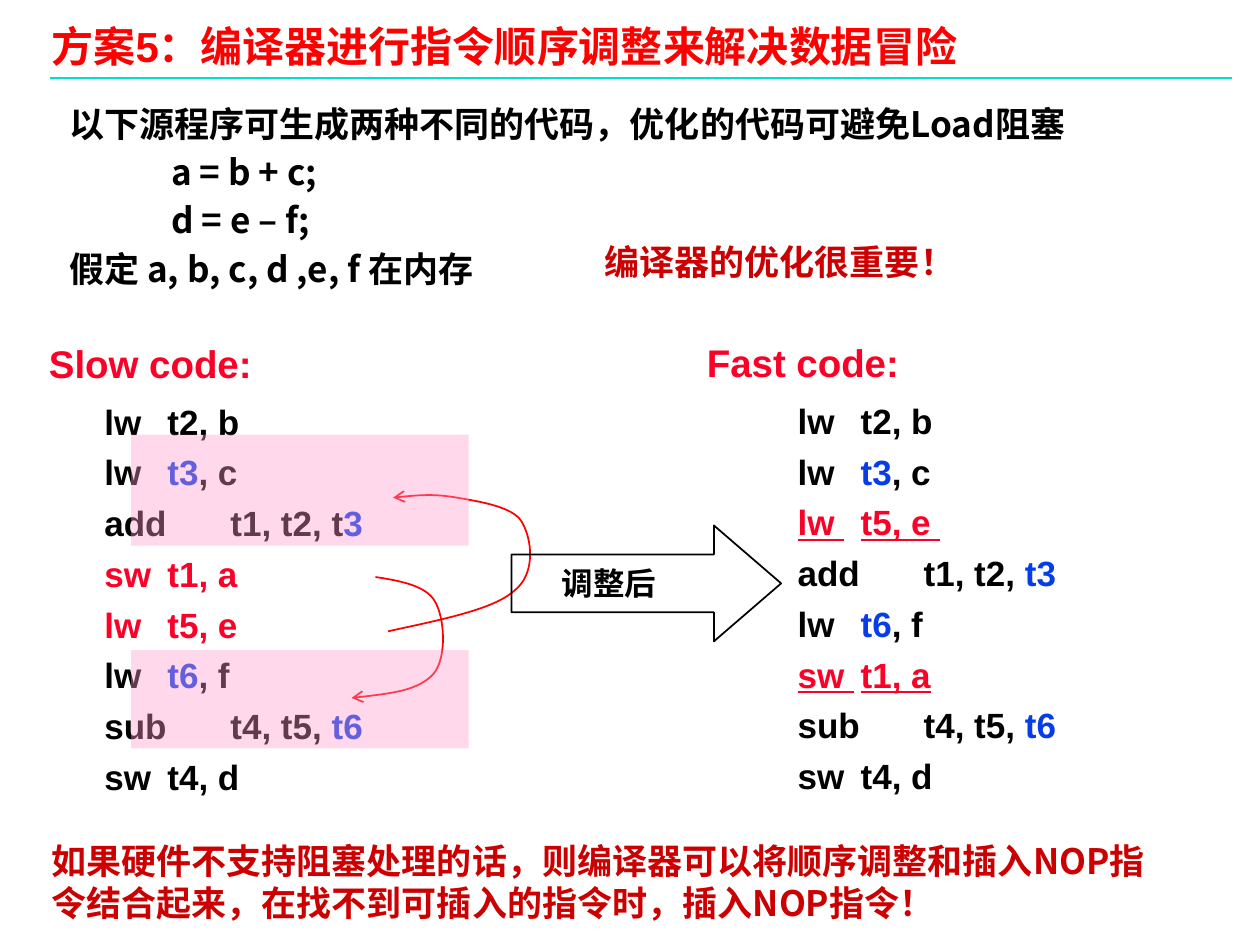
from dataclasses import dataclass

from pptx import Presentation
from pptx.dml.color import RGBColor
from pptx.enum.shapes import MSO_CONNECTOR as CONN, MSO_SHAPE as SHAPE
from pptx.oxml.ns import qn
from pptx.oxml.xmlchemy import OxmlElement
from pptx.util import Pt

PX = 9144  # EMU in one px, 100 px to the inch


@dataclass(frozen=True)
class Theme:
    ink: str = "000000"
    title: str = "FF0000"
    rule: str = "00DFCA"
    accent: str = "FC0128"
    register: str = "063DE8"
    note: str = "CC0000"
    hazard: str = "FF99CC"
    latin: str = "Arial"
    cjk: str = "Noto Sans CJK SC"
    serif: str = "Times New Roman"
    title_size: int = 24
    head_size: int = 22
    body_size: int = 20
    label_size: int = 18


T = Theme()

# Instructions: operation, operands before the register, register, operands after it
SLOW = [("lw", "t2, b", "", ""), ("lw ", "", "t3", ", c"),
        ("add ", "t1, t2, t", "3", ""), ("sw ", "t1, a", "", ""),
        ("lw ", "t5, e", "", ""), ("lw ", "", "t6", ", f"),
        ("sub ", "t4, t5, ", "t6", ""), ("sw", "t4, d", "", "")]
FAST = [("lw ", "t2, b", "", ""), ("lw ", "", "t3", ", c"),
        ("lw ", "t5, e ", "", ""), ("add ", "t1, t2, ", "t3", ""),
        ("lw ", "", "t6", ", f"), ("sw ", "t1, a", "", ""),
        ("sub ", "t4, t5, ", "t6", ""), ("sw", "t4, d", "", "")]


def rgb(value):
    return RGBColor.from_string(value)


def add_text(slide, box, inset=(10, 5)):
    tf = slide.shapes.add_textbox(*(v * PX for v in box)).text_frame
    tf.word_wrap = True
    tf.margin_left = tf.margin_right = inset[0] * PX
    tf.margin_top = tf.margin_bottom = inset[1] * PX
    return tf


def add_line(tf, runs, size, font, color, first=False, before=0, spacing=None,
             margin=0, indent=0):
    """Add a paragraph of (text, colour, underlined) runs."""
    p = tf.paragraphs[0] if first else tf.add_paragraph()
    pPr = p._p.get_or_add_pPr()
    pPr.set("marL", str(margin * PX))
    pPr.set("indent", str(indent * PX))
    if before:
        p.space_before = Pt(before)
    if spacing:
        p.line_spacing = spacing
    p.font.size, p.font.name, p.font.bold = Pt(size), font, True
    p.font.color.rgb = rgb(color)
    for text, run_color, underlined in runs:
        if text:
            r = p.add_run()
            r.text = text
            if run_color != color:
                r.font.color.rgb = rgb(run_color)
            if underlined:
                r.font.underline = True


def add_note(slide, box, text, size, font, color, inset=(10, 5), spacing=None):
    tf = add_text(slide, box, inset)
    add_line(tf, [(text, color, False)], size, font, color, True, spacing=spacing)


def add_title(slide, x, y, w, h):
    add_note(slide, (x, y, w, h), "方案5：编译器进行指令顺序调整来解决数据冒险",
             T.title_size, T.latin, T.title, (7, 3), 0.87)
    # Rule under the title
    rule = slide.shapes.add_connector(
        CONN.STRAIGHT, (x + 6) * PX, (y + 43) * PX, (x + 944) * PX, (y + 43) * PX)
    rule.line.color.rgb = rgb(T.rule)
    rule.line.width = Pt(1)
    rule._element.spPr.append(OxmlElement("a:effectLst"))


def add_source(slide, x, y, w, h):
    tf = add_text(slide, (x, y, w, h))
    lines = ["以下源程序可生成两种不同的代码，优化的代码可避免Load阻塞",
             "\t\ta = b + c;", "\t\td = e – f;", "假定 a, b, c, d ,e, f 在内存"]
    for i, text in enumerate(lines):
        add_line(tf, [(text, T.ink, False)], T.body_size, T.cjk, T.ink, i == 0,
                 6 if i else 0, 0.9, 31, -31)


def add_code(slide, box, heading, rows, moved, lead, inset, hang=0, shift=0,
             underline=False, spacing=None):
    """List the instructions under a heading; the moved ones stand out."""
    tf = add_text(slide, box, inset)
    add_line(tf, [(heading, T.accent, False)], T.head_size, T.latin, T.accent, True,
             spacing=spacing, margin=hang + shift, indent=-hang)
    for i, (op, plain, register, rest) in enumerate(rows):
        color = T.accent if i in moved else T.ink
        mark = underline and i in moved
        runs = [(lead, color, False), (f"{op}\t{plain}", color, mark),
                (register, T.register, False), (rest, color, False)]
        add_line(tf, runs, T.body_size, T.latin, color, before=5 if i else 8,
                 margin=hang, indent=-hang)


def add_curve(slide, x, y, points):
    """Draw cubic curves from (x, y); each three points make one curve."""
    fb = slide.shapes.build_freeform(x, y, scale=PX)
    fb.add_line_segments([(x + dx, y + dy) for dx, dy in points], close=False)
    s = fb.convert_to_shape()
    s.shadow.inherit = False
    s.fill.background()
    s.line.color.rgb = rgb(T.title)
    s.line.width = Pt(1)
    outline = s._element.find(".//" + qn("a:path"))
    segments = outline.findall(qn("a:lnTo"))
    for i in range(0, len(segments), 3):
        curve = OxmlElement("a:cubicBezTo")
        for seg in segments[i:i + 3]:
            curve.append(seg[0])
            outline.remove(seg)
        outline.append(curve)
    tail = OxmlElement("a:tailEnd")
    tail.set("type", "arrow")
    s.line._get_or_add_ln().append(tail)


def add_moves(slide, x, y):
    # lw moves up, sw moves down
    add_curve(slide, x + 29, y + 109, [
        (41, -9), (83, -17), (100, -32), (118, -46), (114, -74), (106, -87),
        (99, -99), (72, -103), (55, -106), (38, -109), (21, -108), (4, -106)])
    add_curve(slide, x + 19, y + 66, [
        (20, 3), (40, 7), (47, 19), (55, 32), (57, 64), (46, 77),
        (34, 90), (8, 93), (-19, 96)])


def add_step(slide, x, y, w, h):
    s = slide.shapes.add_shape(SHAPE.RIGHT_ARROW, x * PX, y * PX, w * PX, h * PX)
    s.shadow.inherit = False
    s.adjustments[0], s.adjustments[1] = 0.5, 0.58
    s.fill.background()
    s.line.color.rgb = rgb(T.ink)
    s.line.width = Pt(1)
    add_note(slide, (x + 30, y + 26, 111, 40), "调整后", T.label_size, T.serif, T.ink)


def add_hazard(slide, x, y, w, h):
    s = slide.shapes.add_shape(SHAPE.RECTANGLE, x * PX, y * PX, w * PX, h * PX)
    s.shadow.inherit = False
    s.line.fill.background()
    s.fill.solid()
    s.fill.fore_color.rgb = rgb(T.hazard)
    alpha = OxmlElement("a:alpha")
    alpha.set("val", "38000")
    s._element.spPr.find(".//" + qn("a:srgbClr")).append(alpha)


def main():
    prs = Presentation()
    prs.slide_width, prs.slide_height = 1000 * PX, 750 * PX
    slide = prs.slides.add_slide(prs.slide_layouts[6])

    add_source(slide, 45, 80, 873, 561)
    add_title(slide, 34, 19, 820, 40)
    add_code(slide, (554, 270, 392, 366), "Fast code:", FAST, {2, 5}, "\t\t", (7, 3),
             hang=22, underline=True, spacing=0.9)
    add_moves(slide, 279, 392)
    add_code(slide, (23, 265, 449, 374), "Slow code:", SLOW, {3, 4}, "\t", (10, 5),
             shift=6)
    add_step(slide, 406, 417, 214, 92)
    add_note(slide, (470, 186, 403, 43), "编译器的优化很重要！",
             T.body_size, T.latin, T.note)
    # Load-use hazards in the slow code
    add_hazard(slide, 104, 345, 268, 88)
    add_hazard(slide, 104, 516, 268, 78)
    add_note(slide, (31, 661, 914, 77),
             "如果硬件不支持阻塞处理的话，则编译器可以将顺序调整和插入NOP指令结合起来，"
             "在找不到可插入的指令时，插入NOP指令！", T.body_size, T.cjk, T.note)
    prs.save("out.pptx")


if __name__ == "__main__":
    main()
